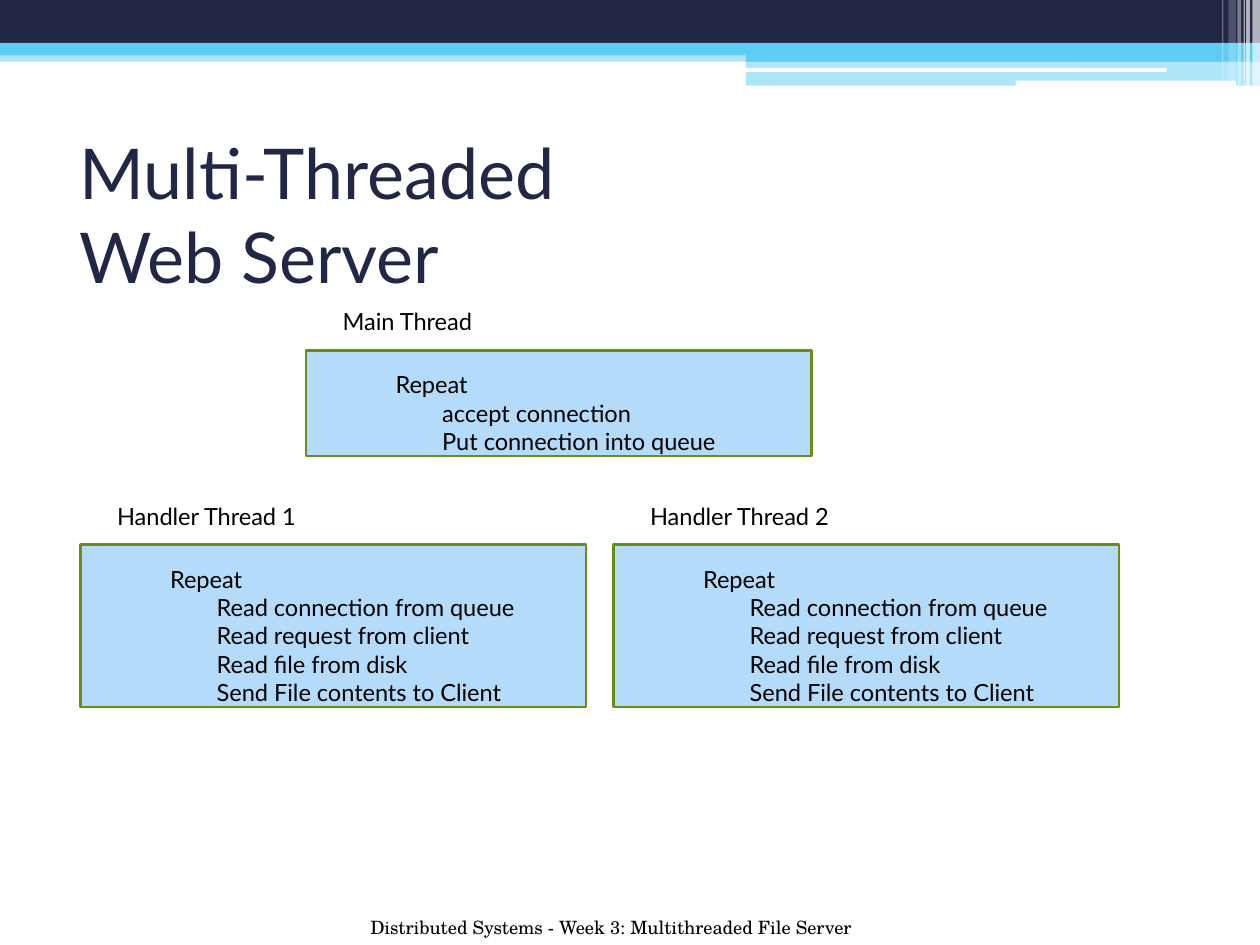
from pptx import Presentation
from pptx.dml.color import RGBColor
from pptx.enum import shapes, text
from pptx.oxml.ns import qn
from pptx.util import Inches, Pt
from lxml import etree

COLORS = {
    "navy": "212745",
    "cyan": "5ECCF3",
    "white": "FFFFFF",
    "panel": "B4DCFA",
    "border": "688E18",
    "black": "000000",
}
BODY_FONT = "Lato"
FOOTER_FONT = "TeX Gyre Schola"
HANDLER_STEPS = [
    "Read connection from queue",
    "Read request from client",
    "Read file from disk",
    "Send File contents to Client",
]


def rgb(name):
    return RGBColor.from_string(COLORS[name])


def add_block(s, x, y, w, h, fill, alpha=100, rounded=False):
    kind = shapes.MSO_SHAPE.ROUNDED_RECTANGLE if rounded else shapes.MSO_SHAPE.RECTANGLE
    sp = s.shapes.add_shape(kind, Inches(x), Inches(y), Inches(w), Inches(h))
    sp.shadow.inherit = False
    sp.fill.solid()
    sp.fill.fore_color.rgb = rgb(fill)
    sp.line.fill.background()
    if alpha < 100:
        color = sp._element.spPr.find(qn("a:solidFill"))[0]
        etree.SubElement(color, qn("a:alpha")).set("val", str(alpha * 1000))
    return sp


def set_frame(tf, top=0.01, anchor=text.MSO_ANCHOR.TOP):
    tf.word_wrap = True
    tf.margin_left = tf.margin_right = tf.margin_bottom = 0
    tf.margin_top = Inches(top)
    tf.vertical_anchor = anchor


def style(p, size, font=BODY_FONT, color="black", indent=0.0):
    p.alignment = text.PP_ALIGN.LEFT
    p.font.size = Pt(size)
    p.font.name = font
    p.font.color.rgb = rgb(color)
    if indent:
        pPr = p._p.get_or_add_pPr()
        pPr.set("marL", str(Inches(indent)))
        pPr.set("indent", "0")


def add_text(s, x, y, w, h, content, size, color="black", anchor=text.MSO_ANCHOR.TOP):
    tf = s.shapes.add_textbox(Inches(x), Inches(y), Inches(w), Inches(h)).text_frame
    set_frame(tf, anchor=anchor)
    p = tf.paragraphs[0]
    p.text = content
    style(p, size, color=color, indent=0.01)


def add_banner(s, x, y, w):
    right = x + w
    wing = 4.08
    add_block(s, x, y + 0.4, w, 0.09, "cyan", 50)
    add_block(s, x, y, w, 0.34, "navy")
    add_block(s, x, y + 0.34, w, 0.1, "cyan")
    add_block(s, right - wing, y + 0.39, wing, 0.1, "cyan")
    add_block(s, right - wing, y + 0.48, wing, 0.2, "cyan", 50)
    add_block(s, right - 4.09, y + 0.54, 3.35, 0.03, "white", rounded=True)
    add_block(s, right - 1.94, y + 0.64, 1.75, 0.04, "white", rounded=True)
    stripes = [
        (0.06, 0.06, 0.68, 65),
        (0.11, 0.03, 0.68, 65),
        (0.13, 0.01, 0.68, 60),
        (0.18, 0.03, 0.68, 40),
        (0.25, 0.06, 0.64, 20),
        (0.3, 0.01, 0.64, 30),
    ]
    for offset, width, height, alpha in stripes:
        add_block(s, right - offset, y, width, height, "white", alpha)


def add_thread(s, x, y, w, h, name, name_width, steps):
    sp = add_block(s, x, y, w, h, "panel")
    sp.line.color.rgb = rgb("border")
    sp.line.width = Pt(1.5)
    tf = sp.text_frame
    set_frame(tf, top=0.16)
    for i, line in enumerate(["Repeat"] + steps):
        p = tf.paragraphs[0] if i == 0 else tf.add_paragraph()
        p.text = line
        style(p, 13.5, indent=1.08 if i else 0.71)
    add_text(s, x + 0.28, y - 0.35, name_width, 0.24, name, 13.5)


def add_footer(s, x, y, w, h):
    tf = s.shapes.add_textbox(Inches(x), Inches(y), Inches(w), Inches(h)).text_frame
    tf.word_wrap = True
    p = tf.paragraphs[0]
    p.text = "Distributed Systems - Week 3: Multithreaded File Server"
    style(p, 10.5, FOOTER_FONT)


def main():
    prs = Presentation()
    prs.slide_width, prs.slide_height = Inches(10), Inches(7.5)
    s = prs.slides.add_slide(prs.slide_layouts[6])
    add_banner(s, 0, 0, 10)
    add_text(s, 0.62, 1.01, 4.59, 1.36, "Multi-Threaded Web Server", 40,
             "navy", text.MSO_ANCHOR.MIDDLE)
    add_thread(s, 2.43, 2.78, 4.01, 0.84, "Main Thread", 1.05,
               ["accept connection", "Put connection into queue"])
    for i, x in enumerate((0.64, 4.87), 1):
        add_thread(s, x, 4.32, 4.01, 1.29, f"Handler Thread {i}", 1.48, HANDLER_STEPS)
    add_footer(s, 2.84, 7.22, 4.31, 0.28)
    prs.save("out.pptx")


if __name__ == "__main__":
    main()
